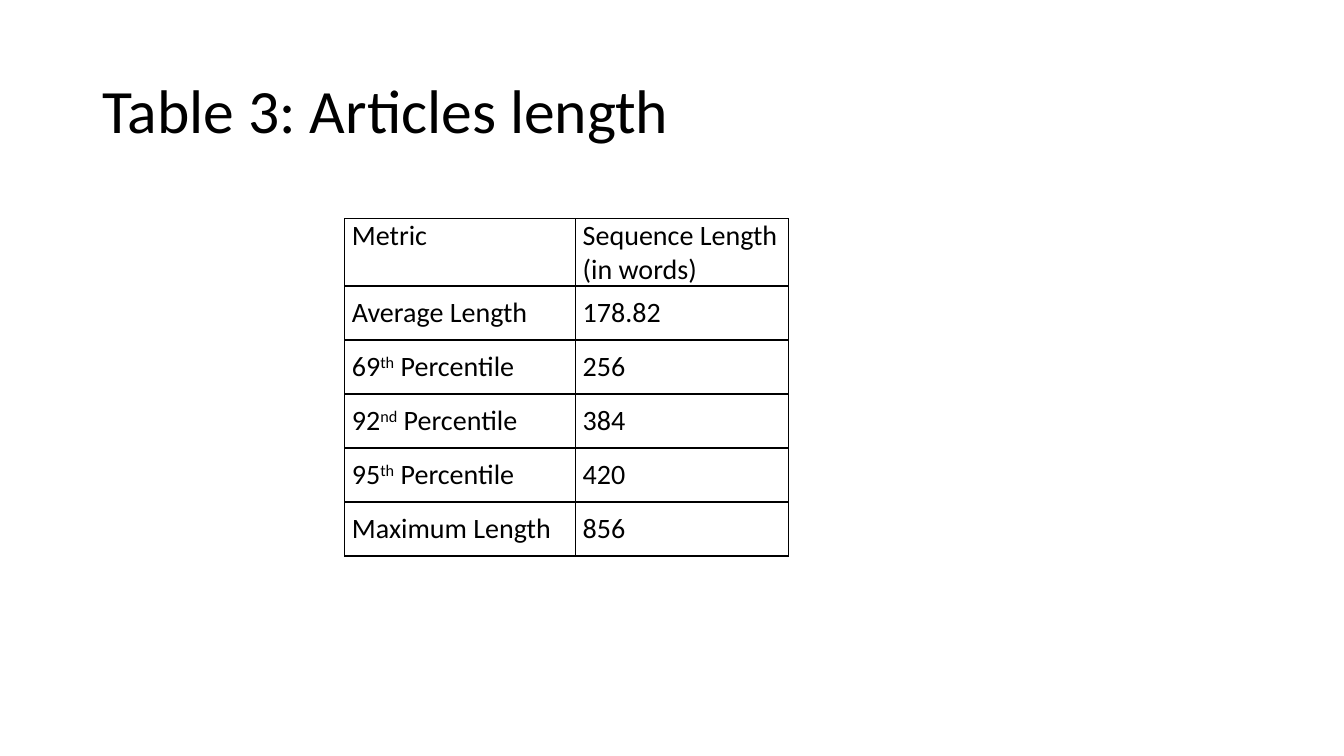
import pptx
import pptx.dml.color
import pptx.enum.text
import pptx.oxml.ns
import pptx.util
from lxml import etree

Inches = pptx.util.Inches
Pt = pptx.util.Pt
ANCHOR = pptx.enum.text.MSO_ANCHOR
BLACK = pptx.dml.color.RGBColor(0, 0, 0)
FONT = "Calibri"

# Each metric is split into plain text, superscript and plain text
HEADER = (("Metric",), "Sequence Length (in words)")
LENGTHS = [
    (("Average Length",), "178.82"),
    (("69", "th", " Percentile"), "256"),
    (("92", "nd", " Percentile"), "384"),
    (("95", "th", " Percentile"), "420"),
    (("Maximum Length",), "856"),
]
COLUMN_WIDTHS = (2.29, 2.11)
HEADER_HEIGHT = 0.66


def style(font, size):
    font.name = FONT
    font.size = Pt(size)
    font.color.rgb = BLACK


def add_title(slide, left, top, width, height):
    title = slide.shapes.add_textbox(
        Inches(left), Inches(top), Inches(width), Inches(height))
    frame = title.text_frame
    frame.word_wrap = True
    frame.vertical_anchor = ANCHOR.MIDDLE
    frame.text = "Table 3: Articles length"
    frame.paragraphs[0].line_spacing = 0.9
    style(frame.paragraphs[0].runs[0].font, 44)


def add_borders(cell):
    properties = cell._tc.get_or_add_tcPr()
    qn = pptx.oxml.ns.qn
    for position, side in enumerate(("a:lnL", "a:lnR", "a:lnT", "a:lnB")):
        border = etree.Element(qn(side), w=str(Pt(1)))
        fill = etree.SubElement(border, qn("a:solidFill"))
        etree.SubElement(fill, qn("a:srgbClr"), val=str(BLACK))
        properties.insert(position, border)


def fill_cell(cell, parts, anchor):
    cell.fill.background()
    cell.margin_left = cell.margin_right = Inches(0.07)
    cell.margin_top = cell.margin_bottom = 0
    cell.vertical_anchor = anchor
    paragraph = cell.text_frame.paragraphs[0]
    for position, part in enumerate(parts):
        run = paragraph.add_run()
        run.text = part
        style(run.font, 20)
        if position == 1:
            run._r.get_or_add_rPr().set("baseline", "30000")
    add_borders(cell)


def add_length_table(slide, left, top, width, height):
    rows = [HEADER] + LENGTHS
    table = slide.shapes.add_table(
        len(rows), len(COLUMN_WIDTHS), Inches(left), Inches(top),
        Inches(width), Inches(height)).table
    table.first_row = table.horz_banding = False

    # Column widths and row heights
    for column, column_width in zip(table.columns, COLUMN_WIDTHS):
        column.width = Inches(column_width)
    row_height = (height - HEADER_HEIGHT) / len(LENGTHS)
    for index, row in enumerate(table.rows):
        row.height = Inches(row_height if index else HEADER_HEIGHT)

    # Cell contents
    for index, (metric, length) in enumerate(rows):
        anchor = ANCHOR.MIDDLE if index else ANCHOR.TOP
        fill_cell(table.cell(index, 0), metric, anchor)
        fill_cell(table.cell(index, 1), (length,), anchor)


def main():
    deck = pptx.Presentation()
    deck.slide_width = Inches(13.33)
    deck.slide_height = Inches(7.5)
    slide = deck.slides.add_slide(deck.slide_layouts[6])
    add_title(slide, 0.92, 0.4, 11.5, 1.45)
    add_length_table(slide, 3.42, 2.17, sum(COLUMN_WIDTHS), 3.34)
    deck.save("out.pptx")


if __name__ == "__main__":
    main()
